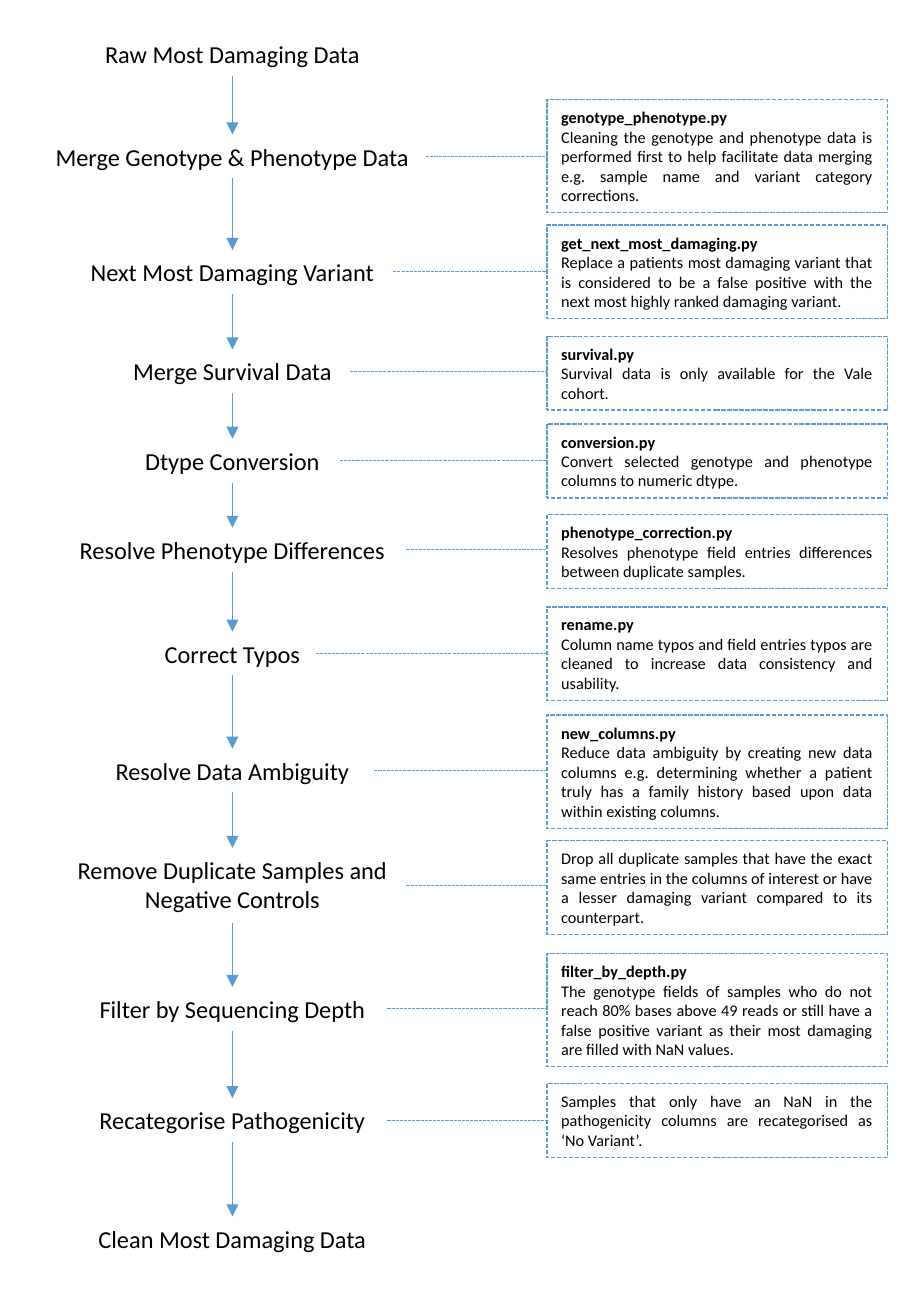
"""Build a flowchart slide of the data cleaning steps with a note beside each one."""
import pptx
import pptx.util
from lxml import etree
from pptx.dml.color import RGBColor
from pptx.enum.dml import MSO_LINE
from pptx.enum.shapes import MSO_CONNECTOR, MSO_SHAPE
from pptx.enum.text import MSO_ANCHOR, PP_ALIGN
from pptx.oxml.ns import qn
from pptx.util import Inches, Pt

BLUE = RGBColor(0x5B, 0x9B, 0xD5)
BLACK = RGBColor(0, 0, 0)
FONT = "Calibri"

STEPS = [
    ("Raw Most Damaging Data", 0.22, 2.09, 0.3),
    ("Merge Genotype & Phenotype Data", 0.92, 2.65, 0.3),
    ("Next Most Damaging Variant", 1.71, 2.2, 0.3),
    ("Merge Survival Data", 2.39, 1.61, 0.3),
    ("Dtype Conversion", 3.0, 1.47, 0.3),
    ("Resolve Phenotype Differences", 3.61, 2.38, 0.3),
    ("Correct Typos", 4.32, 1.14, 0.3),
    ("Resolve Data Ambiguity", 5.12, 1.94, 0.3),
    ("Remove Duplicate Samples and Negative Controls", 5.8, 2.38, 0.51),
    ("Filter by Sequencing Depth", 6.75, 2.12, 0.3),
    ("Recategorise Pathogenicity", 7.51, 2.12, 0.3),
    ("Clean Most Damaging Data", 8.32, 2.08, 0.3),
]

NOTES = [
    (0.68, 5, ["genotype_phenotype.py",
               "Cleaning the genotype and phenotype data is performed first to help facilitate "
               "data merging e.g. sample name and variant category corrections."]),
    (1.54, 4, ["get_next_most_damaging.py",
               "Replace a patients most damaging variant that is considered to be a false "
               "positive with the next most highly ranked damaging variant."]),
    (2.3, 3, ["survival.py", "Survival data is only available for the Vale cohort."]),
    (2.9, 3, ["conversion.py",
              "Convert selected genotype and phenotype columns to numeric dtype."]),
    (3.52, 3, ["phenotype_correction.py",
               "Resolves phenotype field entries differences between duplicate samples."]),
    (4.15, 4, ["rename.py",
               "Column name typos and field entries typos are cleaned to increase data "
               "consistency and usability."]),
    (4.89, 5, ["new_columns.py",
               "Reduce data ambiguity by creating new data columns e.g. determining whether a "
               "patient truly has a family history based upon data within existing columns."]),
    (5.75, 4, ["Drop all duplicate samples that have the exact same entries in the columns of "
               "interest or have a lesser damaging variant compared to its counterpart."]),
    (6.52, 5, ["filter_by_depth.py",
               "The genotype fields of samples who do not reach 80% bases above 49 reads or "
               "still have a false positive variant as their most damaging are filled with "
               "NaN values."]),
    (7.41, 3, ["Samples that only have an NaN in the pathogenicity columns are recategorised "
               "as ‘No Variant’."]),
]

STEP_CENTER = 1.59
NOTE_LEFT, NOTE_WIDTH = 3.74, 2.33
NOTE_LINE, NOTE_PADDING = 0.135, 0.1


def write(box, lines, size, align):
    frame = box.text_frame
    frame.word_wrap = True
    frame.text = "\n".join(lines)
    for index, para in enumerate(frame.paragraphs):
        para.alignment = align
        para.font.name = FONT
        para.font.size = Pt(size)
        para.font.color.rgb = BLACK
        para.font.bold = len(lines) > 1 and index == 0
        for span in para.runs:
            span.font.name = FONT
            span.font.size = Pt(size)
            span.font.color.rgb = BLACK
            span.font.bold = para.font.bold


def add_step(page, name, top, width, height):
    box = page.shapes.add_textbox(
        Inches(STEP_CENTER - width / 2), Inches(top), Inches(width), Inches(height))
    write(box, [name], 12, PP_ALIGN.CENTER)


def add_note(page, top, line_count, lines):
    height = NOTE_PADDING + NOTE_LINE * line_count
    box = page.shapes.add_shape(
        MSO_SHAPE.RECTANGLE, Inches(NOTE_LEFT), Inches(top), Inches(NOTE_WIDTH), Inches(height))
    box.shadow.inherit = False
    box.fill.background()
    box.line.color.rgb = BLUE
    box.line.width = Pt(0.75)
    box.line.dash_style = MSO_LINE.SQUARE_DOT
    box.text_frame.vertical_anchor = MSO_ANCHOR.MIDDLE
    write(box, lines, 8, PP_ALIGN.JUSTIFY)


def add_line(page, start, end, arrow=False):
    line = page.shapes.add_connector(
        MSO_CONNECTOR.STRAIGHT, *(Inches(value) for value in start + end))
    line.line.color.rgb = BLUE
    line.line.width = Pt(0.5)
    if arrow:
        etree.SubElement(line.line._get_or_add_ln(), qn("a:tailEnd"), type="triangle")
    else:
        line.line.dash_style = MSO_LINE.SQUARE_DOT
    etree.SubElement(line._element.spPr, qn("a:effectLst"))


def main():
    deck = pptx.Presentation()
    deck.slide_width, deck.slide_height = Inches(6.32), Inches(9)
    page = deck.slides.add_slide(deck.slide_layouts[6])

    for step in STEPS:
        add_step(page, *step)
    for note in NOTES:
        add_note(page, *note)
    for (_, top, _, height), (_, next_top, _, _) in zip(STEPS, STEPS[1:]):
        add_line(page, (STEP_CENTER, top + height), (STEP_CENTER, next_top), arrow=True)
    for _, top, width, height in STEPS[1:-1]:
        middle = top + height / 2
        add_line(page, (STEP_CENTER + width / 2, middle), (NOTE_LEFT, middle))

    deck.save("out.pptx")


if __name__ == "__main__":
    main()
